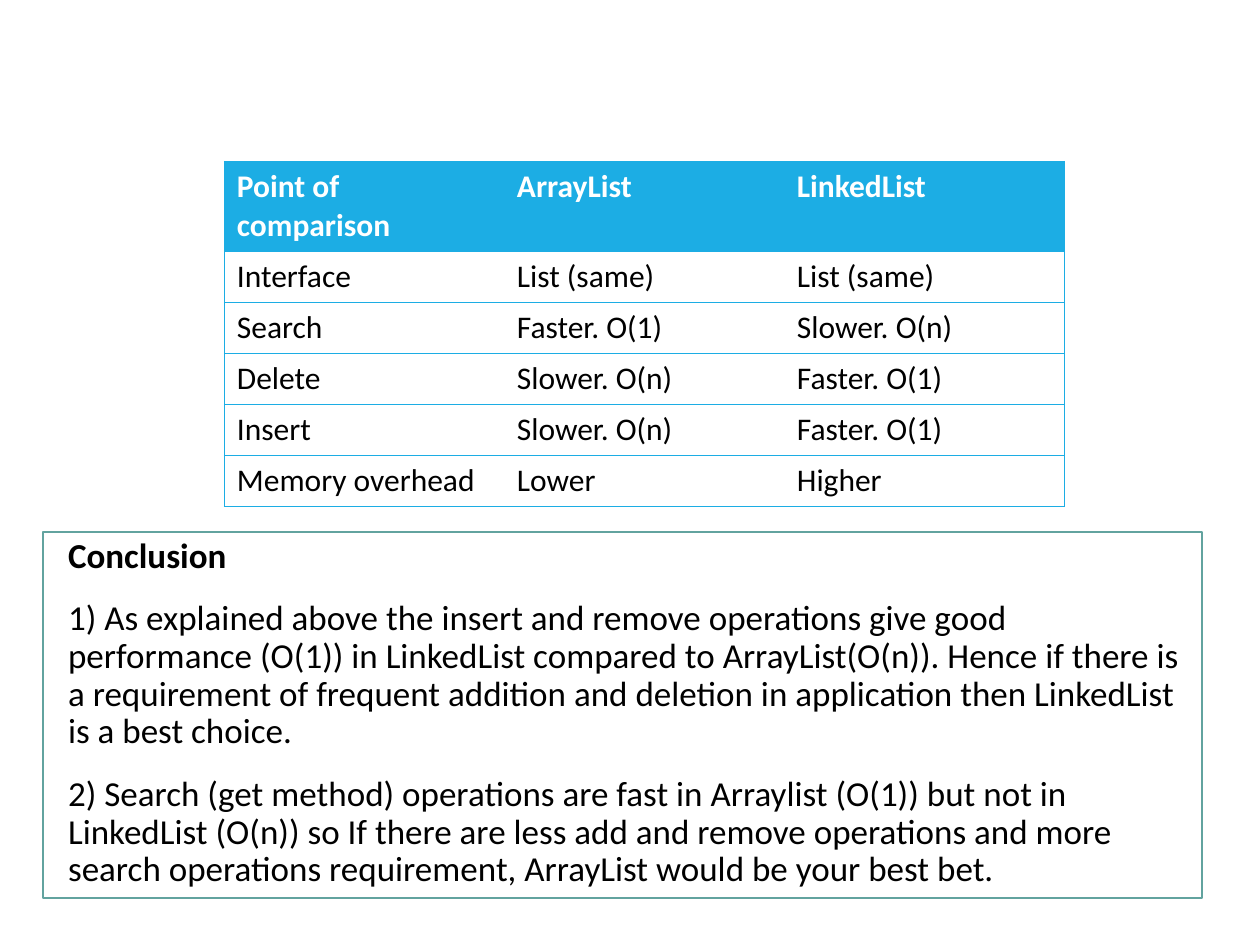
from pptx import Presentation
from pptx.dml.color import RGBColor
from pptx.enum import text
from pptx.oxml import ns, parse_xml
from pptx.util import Pt

ROWS = [
    ("Point of comparison", "ArrayList", "LinkedList"),
    ("Interface", "List (same)", "List (same)"),
    ("Search", "Faster. O(1)", "Slower. O(n)"),
    ("Delete", "Slower. O(n)", "Faster. O(1)"),
    ("Insert", "Slower. O(n)", "Faster. O(1)"),
    ("Memory overhead", "Lower", "Higher"),
]
CONCLUSION = [
    "Conclusion",
    "1) As explained above the insert and remove operations give good "
    "performance (O(1)) in LinkedList compared to ArrayList(O(n)). Hence if "
    "there is a requirement of frequent addition and deletion in application "
    "then LinkedList is a best choice.",
    "2) Search (get method) operations are fast in Arraylist (O(1)) but not in "
    "LinkedList (O(n)) so If there are less add and remove operations and more "
    "search operations requirement, ArrayList would be your best bet.",
]
BLUE, TEAL, BULLET, WHITE, BLACK = "1CADE4", "62A39F", "2683C6", "FFFFFF", "000000"
TABLE_LEFT, TABLE_TOP, COL_W = 128.2, 92.2, 160
HEADER_H, ROW_H = 51.2, 29.25
BOX = dict(left=24.5, top=303.8, width=662.4, height=209.5)
PARAGRAPH = dict(line_spacing=0.9, space_before=Pt(12), space_after=Pt(2))
NO_STYLE = "{2D5ABB26-0587-4C30-8999-92F81FD0307C}"


def rgb(color):
    return RGBColor.from_string(color)


def write(p, words, size, color, bold):
    r = p.add_run()
    r.text = words
    for name, value in dict(name="Calibri", size=Pt(size), bold=bold).items():
        setattr(r.font, name, value)
    r.font.color.rgb = rgb(color)


def add_borders(cell, sides):
    """Draw the given sides (L, R, T, B, in that order) of a table cell."""
    tc_pr = cell._tc.get_or_add_tcPr()
    for side in sides:
        tc_pr.append(parse_xml(
            f'<a:ln{side} {ns.nsdecls("a")} w="{Pt(0.75)}"><a:solidFill>'
            f'<a:srgbClr val="{BLUE}"/></a:solidFill></a:ln{side}>'))


def add_blank_bullet(p):
    """Hang the paragraph on a space used as its bullet."""
    p_pr = p._p.get_or_add_pPr()
    p_pr.set("marL", str(Pt(7.2)))
    p_pr.set("indent", str(Pt(-7.2)))
    for xml in (f'<a:buClr {ns.nsdecls("a")}><a:srgbClr val="{BULLET}"/></a:buClr>',
                f'<a:buChar {ns.nsdecls("a")} char=" "/>'):
        p_pr.append(parse_xml(xml))


def add_comparison(s):
    n_rows, n_cols = len(ROWS), len(ROWS[0])
    table = s.shapes.add_table(
        n_rows, n_cols, Pt(TABLE_LEFT), Pt(TABLE_TOP), Pt(COL_W * n_cols),
        Pt(HEADER_H + ROW_H * (n_rows - 1))).table
    table._tbl.tblPr.find(ns.qn("a:tableStyleId")).text = NO_STYLE
    for col in table.columns:
        col.width = Pt(COL_W)
    for i, values in enumerate(ROWS):
        header = i == 0
        table.rows[i].height = Pt(HEADER_H if header else ROW_H)
        for j, value in enumerate(values):
            cell = table.cell(i, j)
            add_borders(cell, "L" * (j == 0) + "R" * (j == n_cols - 1) + "TB")
            cell.fill.solid()
            cell.fill.fore_color.rgb = rgb(BLUE if header else WHITE)
            write(cell.text_frame.paragraphs[0], value, 18,
                  WHITE if header else BLACK, header)


def add_conclusion(s):
    box = s.placeholders[1]
    for name, value in BOX.items():
        setattr(box, name, Pt(value))
    box.fill.solid()
    box.fill.fore_color.rgb = rgb(WHITE)
    box.line.color.rgb = rgb(TEAL)
    box.line.width = Pt(1.25)
    tf = box.text_frame
    tf.word_wrap = True
    tf.auto_size = text.MSO_AUTO_SIZE.NONE
    tf.vertical_anchor = text.MSO_ANCHOR.TOP
    for i, words in enumerate(CONCLUSION):
        p = tf.add_paragraph() if i else tf.paragraphs[0]
        for name, value in PARAGRAPH.items():
            setattr(p, name, value)
        add_blank_bullet(p)
        write(p, words, 20, BLACK, i == 0)


def main():
    prs = Presentation()
    prs.slide_width, prs.slide_height = Pt(720), Pt(540)
    s = prs.slides.add_slide(prs.slide_layouts[1])
    title = s.shapes.title.element
    title.getparent().remove(title)
    add_comparison(s)
    add_conclusion(s)
    prs.save("out.pptx")


if __name__ == "__main__":
    main()
